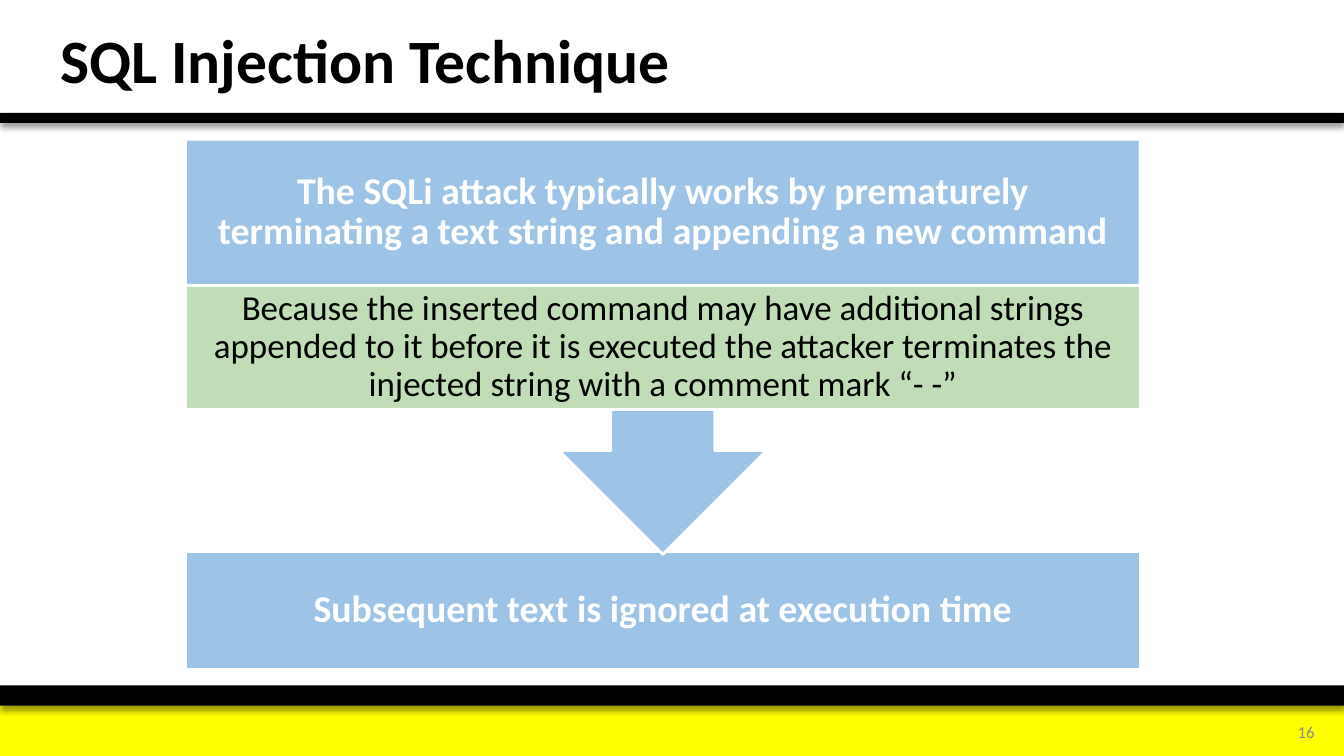
from dataclasses import dataclass

import lxml.etree
import pptx
import pptx.dml.color
import pptx.enum.shapes
import pptx.enum.text
import pptx.oxml.ns
import pptx.util

Pt = pptx.util.Pt
Kind = pptx.enum.shapes.MSO_SHAPE
Align = pptx.enum.text.PP_ALIGN
qn = pptx.oxml.ns.qn

BLACK, WHITE, BLUE, GREEN = "000000", "FFFFFF", "9DC3E6", "C5E0B4"
YELLOW, GREY = "FFFF00", "8C8C8C"
WIDE, HIGH = 960, 540
LEFT, SPAN = 132.48, 681.84


@dataclass
class Box:
    left: float
    top: float
    width: float
    height: float

    def place(self) -> list:
        return [Pt(n) for n in (self.left, self.top, self.width, self.height)]


@dataclass
class Label:
    box: Box
    text: str
    size: float
    color: str
    bold: bool = False
    align: Align = Align.CENTER
    space: float = 0.9
    side: float = 7.2
    edge: float = 3.6


@dataclass
class Panel:
    box: Box
    fill: str
    line: str = ""
    kind: Kind = Kind.RECTANGLE
    turn: float = 0
    alpha: int = 100
    shade: bool = False


def paint(color: str) -> pptx.dml.color.RGBColor:
    return pptx.dml.color.RGBColor.from_string(color)


def add_shade(shape) -> None:
    """Give the shape a soft shadow that falls straight down."""
    effects = shape._element.spPr.find(qn("a:effectLst"))
    outer = lxml.etree.SubElement(
        effects, qn("a:outerShdw"), blurRad=str(Pt(4)), dist=str(Pt(3)),
        dir="5400000", algn="t", rotWithShape="0")
    color = lxml.etree.SubElement(outer, qn("a:srgbClr"), val=BLACK)
    lxml.etree.SubElement(color, qn("a:alpha"), val="40000")


def draw_panel(slide: pptx.slide.Slide, panel: Panel) -> None:
    shape = slide.shapes.add_shape(panel.kind, *panel.box.place())
    shape.rotation = panel.turn
    shape.shadow.inherit = False
    shape.fill.solid()
    shape.fill.fore_color.rgb = paint(panel.fill)
    if panel.alpha < 100:
        color = shape._element.spPr.find(qn("a:solidFill"))[0]
        lxml.etree.SubElement(color, qn("a:alpha"), val=str(panel.alpha * 1000))
    if panel.line:
        shape.line.color.rgb = paint(panel.line)
        shape.line.width = Pt(2)
    else:
        shape.line.fill.background()
    if panel.shade:
        add_shade(shape)


def draw_label(slide: pptx.slide.Slide, label: Label) -> None:
    frame = slide.shapes.add_textbox(*label.box.place()).text_frame
    frame.word_wrap = True
    frame.vertical_anchor = pptx.enum.text.MSO_ANCHOR.MIDDLE
    frame.margin_left = frame.margin_right = Pt(label.side)
    frame.margin_top = frame.margin_bottom = Pt(label.edge)
    frame.text = label.text
    line = frame.paragraphs[0]
    line.alignment = label.align
    line.line_spacing = label.space
    font = line.runs[0].font
    font.name = "Calibri"
    font.size = Pt(label.size)
    font.bold = label.bold
    font.color.rgb = paint(label.color)


def main() -> None:
    deck = pptx.Presentation()
    deck.slide_width, deck.slide_height = Pt(WIDE), Pt(HIGH)
    slide = deck.slides.add_slide(deck.slide_layouts[6])

    lead = Box(LEFT, 99.36, SPAN, 104.4)
    cause = Box(LEFT, 203.76, SPAN, 88.56)
    result = Box(LEFT, 393.84, SPAN, 84.24)

    panels = [
        Panel(Box(0, 504, WIDE, 36), YELLOW),
        Panel(Box(0, 489.6, WIDE, 14.4), BLACK, shade=True),
        Panel(Box(0, 80.64, WIDE, 7.2), BLACK, shade=True),
        Panel(result, BLUE, WHITE),
        Panel(Box(LEFT, lead.top, SPAN, 296.64), BLUE, WHITE,
              Kind.UP_ARROW_CALLOUT, turn=180),
        Panel(cause, GREEN, WHITE, alpha=90),
    ]
    labels = [
        Label(Box(891.36, 508.32, 54.72, 28.8), "16", 12, GREY,
              align=Align.RIGHT, space=1),
        Label(Box(36, 5.04, 648, 80.64), "SQL Injection Technique", 44, BLACK,
              bold=True, align=Align.LEFT),
        Label(result, "Subsequent text is ignored at execution time",
              27, WHITE, bold=True, side=15.12, edge=15.12),
        Label(lead, "The SQLi attack typically works by prematurely "
              "terminating a text string and appending a new command",
              27, WHITE, bold=True, side=15.12, edge=15.12),
        Label(cause, "Because the inserted command may have additional strings "
              "appended to it before it is executed the attacker terminates "
              "the injected string with a comment mark “- -”",
              25, BLACK, side=13.68, edge=2.16),
    ]
    for panel in panels:
        draw_panel(slide, panel)
    for label in labels:
        draw_label(slide, label)
    deck.save("out.pptx")


if __name__ == "__main__":
    main()
